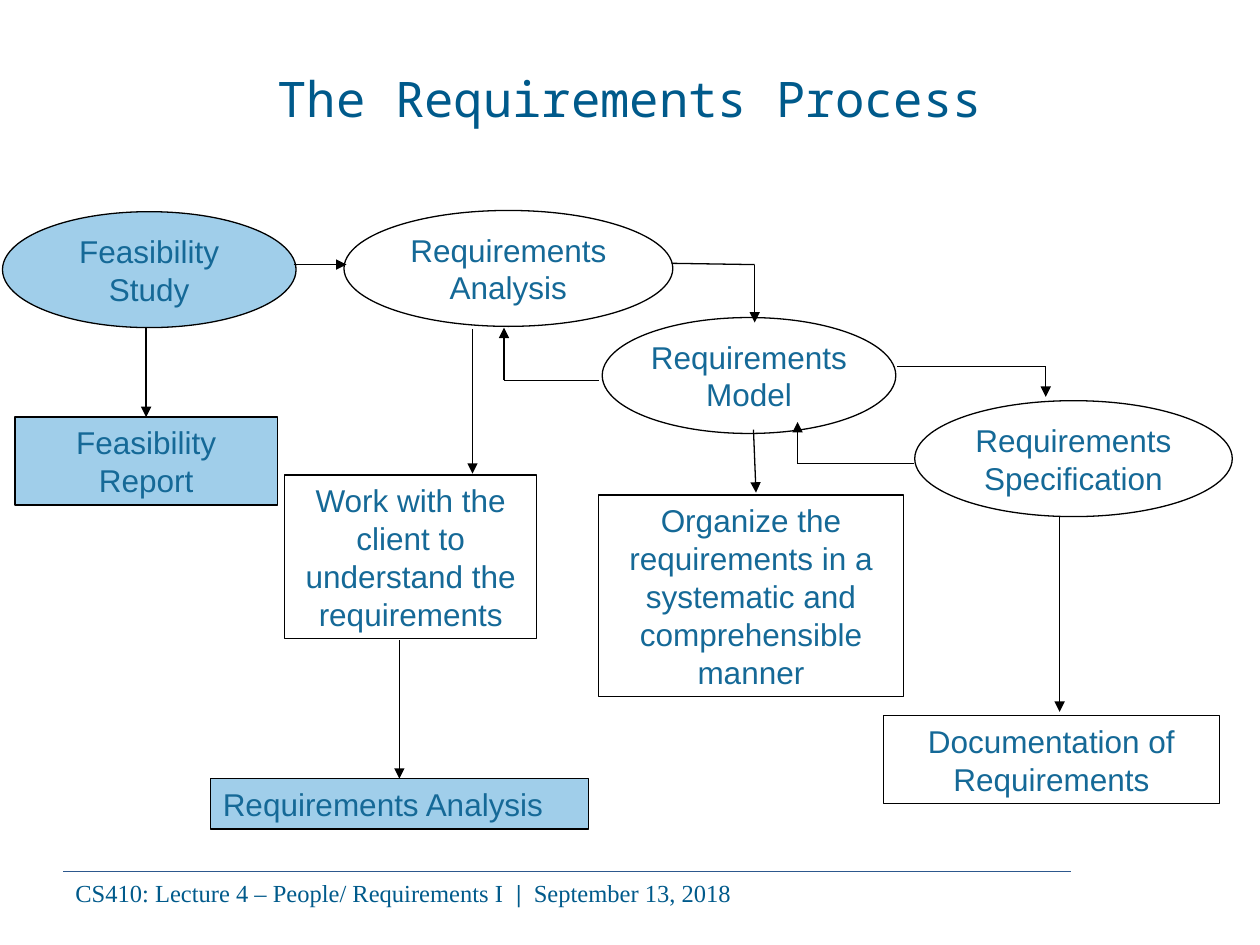
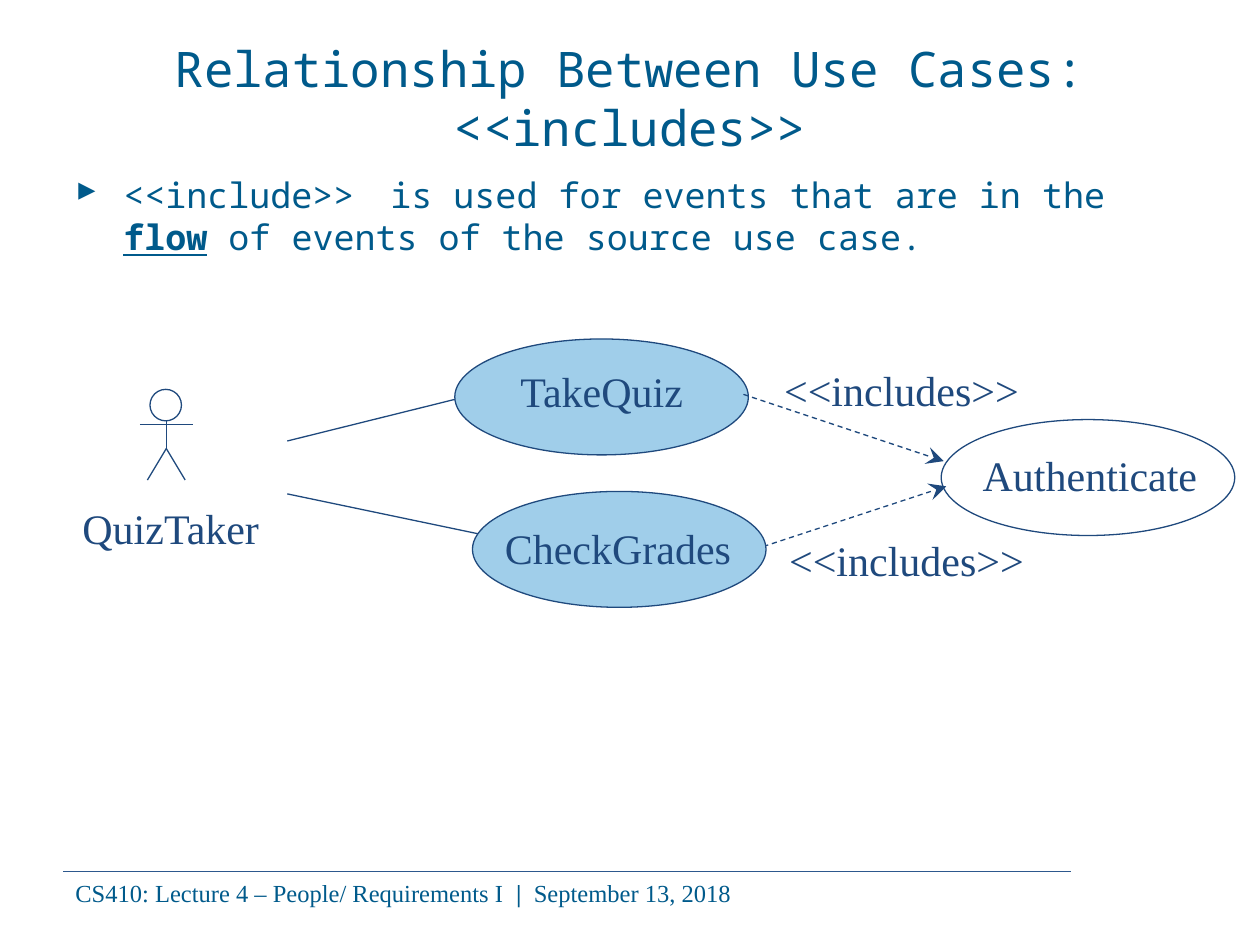
from dataclasses import dataclass

from lxml import etree
from pptx import Presentation
from pptx.dml.color import RGBColor
from pptx.enum.dml import MSO_LINE
from pptx.enum.shapes import MSO_CONNECTOR, MSO_SHAPE
from pptx.enum.text import MSO_ANCHOR, PP_ALIGN
from pptx.oxml.ns import qn
from pptx.util import Inches, Pt

STRAIGHT = MSO_CONNECTOR.STRAIGHT
OVAL, RECT = MSO_SHAPE.OVAL, MSO_SHAPE.RECTANGLE
LEFT, CENTER = PP_ALIGN.LEFT, PP_ALIGN.CENTER
TOP, MIDDLE = MSO_ANCHOR.TOP, MSO_ANCHOR.MIDDLE
DASH = MSO_LINE.DASH
RECT_TOP = 0


@dataclass(frozen=True)
class Theme:
    heading: str = "005A8B"
    step_text: str = "156997"
    use_case: str = "1F497D"
    highlight: str = "A0CEEA"
    flow_line: str = "000000"
    footer_rule: str = "2D588D"
    mono: str = "Noto Sans Mono"
    sans: str = "Arial"
    serif: str = "Times New Roman"
    title_size: int = 28
    body_size: int = 20
    step_size: int = 18
    use_case_size: int = 24
    footer_size: int = 14
    line_width: float = 0.75
    rule_width: float = 0.5


@dataclass(frozen=True)
class Box:
    left: float
    top: float
    width: float
    height: float

    def inner(self, left, top, width, height):
        return Box(self.left + left, self.top + top, width, height)

    def point(self, x, y):
        return self.left + x, self.top + y

    def emu(self):
        return [Inches(n) for n in (self.left, self.top, self.width, self.height)]


THEME = Theme()
TITLE_BOX = Box(0.5, 0.3, 9, 0.95)
BODY_BOX = Box(0.5, 1.33, 8.58, 5.38)
FOOTER_BOX = Box(0.5, 6.92, 8.17, 0.34)
PROCESS_BOX = Box(0, 1.67, 10, 4.91)
USE_CASE_BOX = Box(0, 2.69, 10, 2.13)
OVAL_WIDTH, OVAL_HEIGHT = 2.33, 0.92


# Shared drawing helpers
def style_runs(paragraph, font, size, color):
    for run in paragraph.runs:
        run.font.name = font
        run.font.size = Pt(size)
        run.font.color.rgb = RGBColor.from_string(color)


def write(frame, text, font, size, color, align=CENTER, anchor=TOP, wrap=True):
    frame.word_wrap = wrap
    frame.vertical_anchor = anchor
    frame.text = text
    for paragraph in frame.paragraphs:
        paragraph.alignment = align
        style_runs(paragraph, font, size, color)


def add_runs(paragraph, parts, font, size, color):
    """Write (text, emphasised) parts and return the emphasised runs."""
    strong = []
    for text, emphasised in parts:
        run = paragraph.add_run()
        run.text = text
        run.font.bold = emphasised
        if emphasised:
            strong.append(run)
    style_runs(paragraph, font, size, color)
    return strong


def add_outline(shapes, kind, box, color, fill=None):
    shape = shapes.add_shape(kind, *box.emu())
    shape.shadow.inherit = False
    if fill:
        shape.fill.solid()
        shape.fill.fore_color.rgb = RGBColor.from_string(fill)
    else:
        shape.fill.background()
    shape.line.color.rgb = RGBColor.from_string(color)
    shape.line.width = Pt(THEME.line_width)
    return shape


def add_line(shapes, start, end, color, width=THEME.line_width,
             head=None, head_size="med", dash=None):
    line = shapes.add_connector(STRAIGHT, *[Inches(n) for n in (*start, *end)])
    line.line.color.rgb = RGBColor.from_string(color)
    line.line.width = Pt(width)
    if dash:
        line.line.dash_style = dash
    if head:
        etree.SubElement(line.line._get_or_add_ln(), qn("a:tailEnd"),
                         type=head, w=head_size, len=head_size)
    etree.SubElement(line._element.spPr, qn("a:effectLst"))
    return line


# Title and footer of every slide
def add_title(slide, box, text):
    frame = slide.shapes.add_textbox(*box.emu()).text_frame
    write(frame, text, THEME.mono, THEME.title_size, THEME.heading, anchor=MIDDLE)


def add_footer(slide, box):
    add_line(slide.shapes, box.point(0, 0), box.point(8, 0),
             THEME.footer_rule, THEME.rule_width)
    frame = slide.shapes.add_textbox(*box.emu()).text_frame
    frame.word_wrap = True
    parts = [("CS410: Lecture 4 – People/ Requirements I  ", False),
             ("|  ", True), ("September 13, 2018", False)]
    add_runs(frame.paragraphs[0], parts, THEME.serif, THEME.footer_size, THEME.heading)


def new_slide(deck, title):
    slide = deck.slides.add_slide(deck.slide_layouts[6])
    add_footer(slide, FOOTER_BOX)
    add_title(slide, TITLE_BOX, title)
    return slide


# Requirements process flow
def add_step(slide, kind, box, text, fill=None, align=CENTER):
    """Draw a step; a label with its own line break is not wrapped further."""
    step = add_outline(slide.shapes, kind, box, THEME.flow_line, fill)
    write(step.text_frame, text, THEME.sans, THEME.step_size, THEME.step_text,
          align, MIDDLE if kind == OVAL else TOP, wrap="\n" not in text)
    return step


def add_flow(slide, box, *points):
    """Draw a path of straight legs with an arrowhead on the last one."""
    stops = [box.point(*point) for point in points]
    for start, end in zip(stops, stops[1:]):
        head = "triangle" if end is stops[-1] else None
        leg = add_line(slide.shapes, start, end, THEME.flow_line, head=head)
    return leg


def add_process(slide, box):
    activities = [
        ("Feasibility Study", 0.02, 0.01, OVAL_WIDTH, THEME.highlight),
        ("Requirements Analysis", 2.73, 0, 2.61, None),
        ("Requirements\nModel", 4.78, 0.85, OVAL_WIDTH, None),
        ("Requirements Specification", 7.26, 1.51, 2.52, None),
    ]
    for text, left, top, width, fill in activities:
        add_step(slide, OVAL, box.inner(left, top, width, OVAL_HEIGHT), text, fill)

    # Results and explanations
    report = add_step(slide, RECT, box.inner(0.12, 1.64, 2.08, 0.7),
                      "Feasibility\nReport", THEME.highlight)
    add_step(slide, RECT, box.inner(7.01, 4.01, 2.67, 0.7),
             "Documentation of\nRequirements")
    add_step(slide, RECT, box.inner(2.26, 2.1, 2, 1.3),
             "Work with the client to understand the requirements")
    add_step(slide, RECT, box.inner(4.75, 2.26, 2.42, 1.6),
             "Organize the requirements in a systematic and comprehensible manner")
    analysis = add_step(slide, RECT, box.inner(1.67, 4.51, 3, 0.4),
                        "Requirements Analysis", THEME.highlight, LEFT)

    # Arrows down to the results
    add_flow(slide, box, (1.16, 0.93), (1.16, 1.64)).end_connect(report, RECT_TOP)
    add_flow(slide, box, (3.17, 3.41), (3.17, 4.51)).end_connect(analysis, RECT_TOP)
    add_flow(slide, box, (8.41, 2.43), (8.41, 3.98))
    add_flow(slide, box, (5.98, 1.74), (6, 2.24))
    add_flow(slide, box, (3.75, 0.94), (3.75, 2.09))

    # Arrows forward and back between activities
    add_flow(slide, box, (2.33, 0.43), (2.75, 0.43))
    add_flow(slide, box, (5.33, 0.42), (5.99, 0.43), (5.99, 0.89))
    add_flow(slide, box, (7.12, 1.24), (8.3, 1.24), (8.3, 1.48))
    add_flow(slide, box, (7.25, 2.01), (6.33, 2.01), (6.33, 1.68))
    add_flow(slide, box, (4.75, 1.35), (4, 1.35), (4, 0.93))


# Use case explanation and diagram
def add_explanation(slide, box):
    frame = slide.shapes.add_textbox(*box.emu()).text_frame
    frame.word_wrap = True
    paragraph = frame.paragraphs[0]
    parts = [("<<include>> \tis used for events that are in the ", False),
             ("flow", True), (" of events of the source use case.", False)]
    for run in add_runs(paragraph, parts, THEME.mono, THEME.body_size, THEME.heading):
        run.font.underline = True

    # Hanging bullet and tab stops every half inch
    props = paragraph._p.get_or_add_pPr()
    props.set("marL", str(Inches(0.38)))
    props.set("indent", str(-Inches(0.38)))
    bullet_color = etree.SubElement(props, qn("a:buClr"))
    etree.SubElement(bullet_color, qn("a:srgbClr"), val=THEME.heading)
    etree.SubElement(props, qn("a:buChar"), char="▸")
    tabs = etree.SubElement(props, qn("a:tabLst"))
    for stop in range(1, 9):
        etree.SubElement(tabs, qn("a:tab"), pos=str(Inches(stop * 0.5)), algn="l")


def add_actor(slide, box):
    figure = slide.shapes.add_group_shape().shapes
    middle = box.width / 2
    add_outline(figure, OVAL, box.inner(middle - 0.13, 0, 0.25, 0.25), THEME.use_case)
    limbs = [
        ((middle, 0.25), (middle, 0.47)),
        ((0, 0.28), (box.width, 0.28)),
        ((middle, 0.47), (middle - 0.15, box.height)),
        ((middle, 0.47), (middle + 0.15, box.height)),
    ]
    for start, end in limbs:
        add_line(figure, box.point(*start), box.point(*end), THEME.use_case)


def add_label(slide, box, text):
    frame = slide.shapes.add_textbox(*box.emu()).text_frame
    write(frame, text, THEME.serif, THEME.use_case_size, THEME.use_case)


def add_use_cases(slide, box):
    def oval(left, top, fill=None):
        add_outline(slide.shapes, OVAL, box.inner(left, top, OVAL_WIDTH, OVAL_HEIGHT),
                    THEME.use_case, fill)

    def link(start, end, **style):
        add_line(slide.shapes, box.point(*start), box.point(*end),
                 THEME.use_case, **style)

    def include(start, end):
        link(start, end, head="stealth", head_size="lg", dash=DASH)

    # Actor and its associations
    add_actor(slide, box.inner(1.11, 0.4, 0.42, 0.72))
    link((2.28, 0.81), (3.61, 0.48))
    link((2.28, 1.23), (3.86, 1.56))

    # Use cases; the lower include line starts beneath CheckGrades
    oval(7.47, 0.64)
    oval(3.61, 0, THEME.highlight)
    include((5.9, 0.44), (7.49, 0.97))
    include((5.99, 1.67), (7.51, 1.17))
    oval(3.75, 1.21, THEME.highlight)

    labels = [
        ("QuizTaker", 0.19, 1.25, 2.33),
        ("Authenticate", 7.69, 0.83, 1.92),
        ("TakeQuiz", 3.94, 0.16, 1.67),
        ("CheckGrades", 3.78, 1.41, 2.25),
        ("<<includes>>", 6.03, 0.15, 2.25),
        ("<<includes>>", 6.11, 1.5, 2.17),
    ]
    for text, left, top, width in labels:
        add_label(slide, box.inner(left, top, width, 0.5), text)


def main():
    deck = Presentation()
    deck.slide_width, deck.slide_height = Inches(10), Inches(7.5)

    process = new_slide(deck, "The Requirements Process")
    add_process(process, PROCESS_BOX)

    includes = new_slide(deck, "Relationship Between Use Cases: <<includes>>")
    add_explanation(includes, BODY_BOX)
    add_use_cases(includes, USE_CASE_BOX)

    deck.save("out.pptx")


if __name__ == "__main__":
    main()
